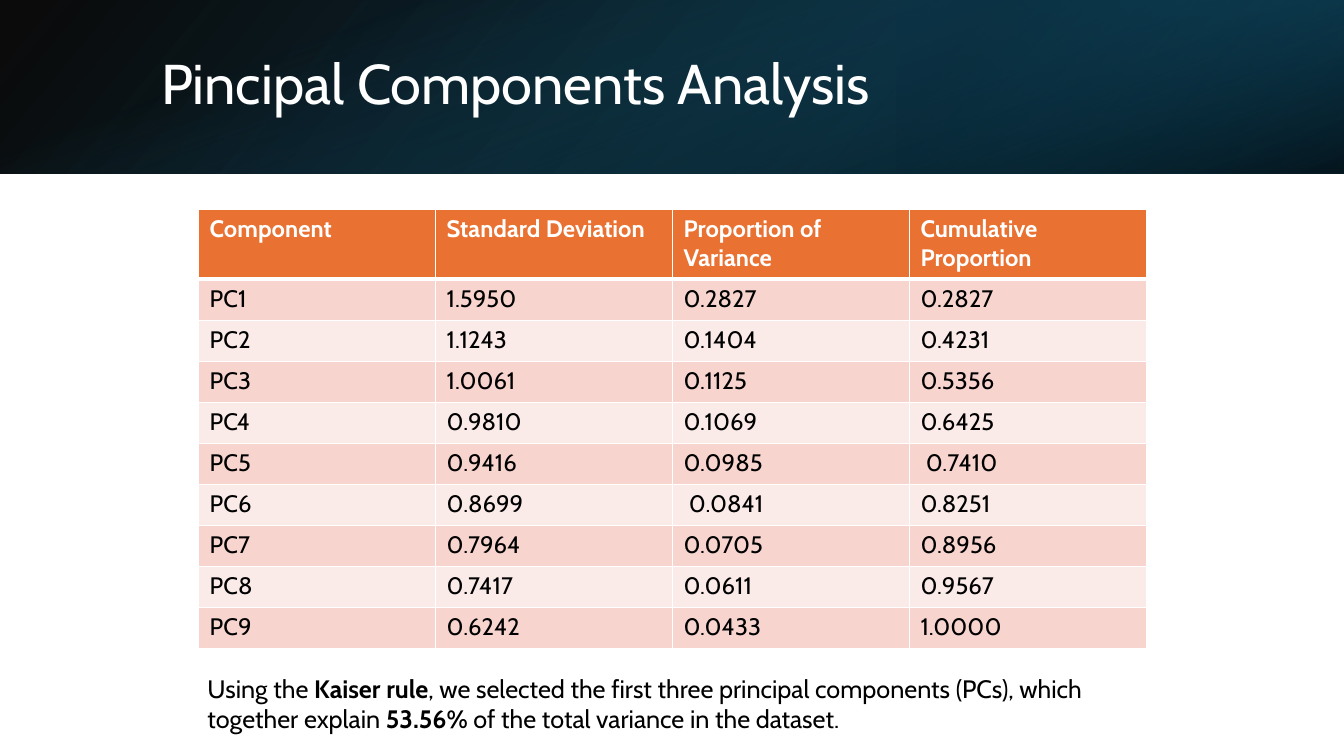
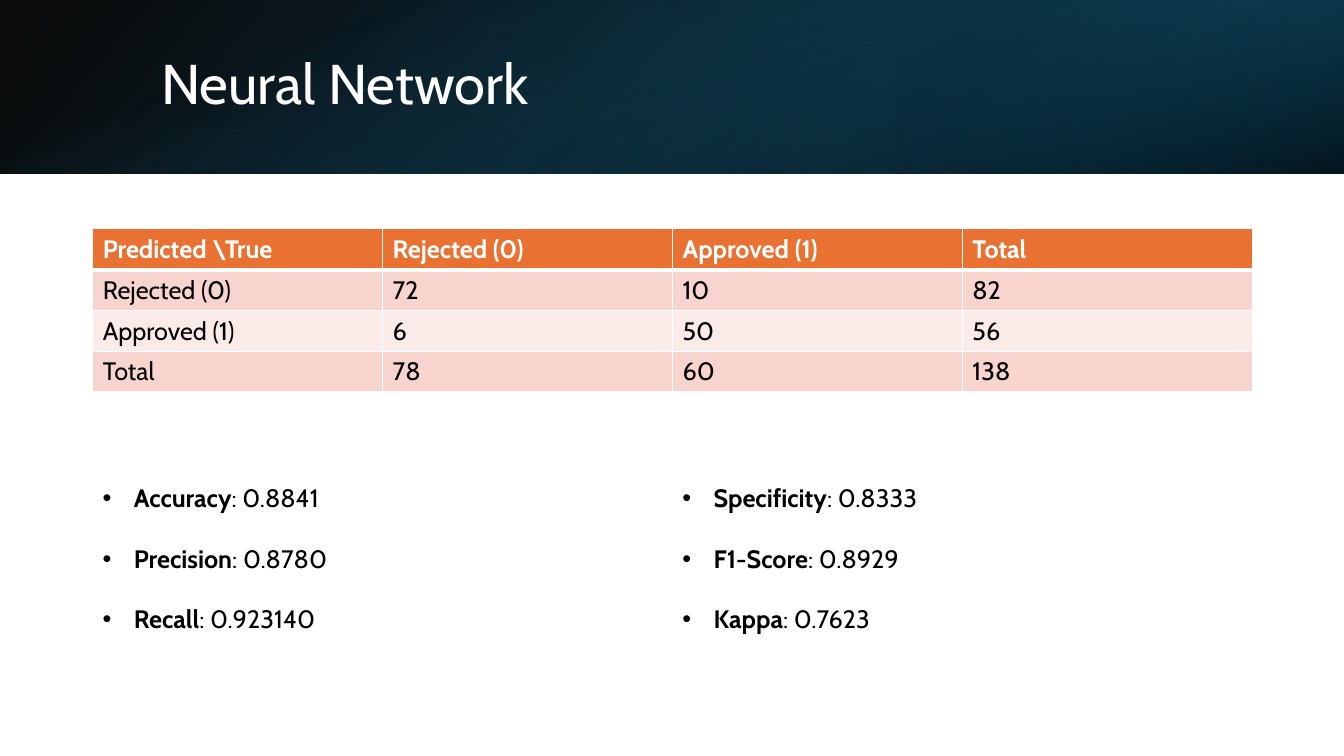
from dataclasses import dataclass
from lxml.etree import SubElement as Sub
from pptx import Presentation
from pptx.dml.color import RGBColor as Rgb
from pptx.enum.shapes import MSO_SHAPE as Kind
from pptx.enum.text import MSO_ANCHOR as Anchor, MSO_AUTO_SIZE as Fit
from pptx.oxml.ns import qn
from pptx.slide import Slide
from pptx.util import Inches, Pt


@dataclass(frozen=True)
class Theme:
    font: str = "Cabin"
    white: str = "FFFFFF"
    black: str = "000000"
    head: str = "E97132"
    odd: str = "F7D5CE"
    even: str = "FBEBE8"
    blue: str = "156082"
    deep: str = "104862"
    navy: str = "0B3041"
    title: int = 40
    body: int = 18
    dense: int = 17
    thin: int = 1
    thick: int = 3


T = Theme()


@dataclass(frozen=True)
class Box:
    left: float
    top: float
    width: float
    height: float

    def place(self) -> tuple:
        return tuple(map(Inches, (self.left, self.top, self.width, self.height)))


@dataclass(frozen=True)
class Stop:
    pos: int
    color: str
    alpha: int = 100


@dataclass(frozen=True)
class Band:
    box: Box
    stops: tuple[Stop, Stop]
    angle: int
    turn: int = 0
    flip: bool = False


@dataclass(frozen=True)
class Grid:
    box: Box
    rows: list[list[str]]
    top: float
    size: int
    inset: float


@dataclass(frozen=True)
class Part:
    text: str
    bold: bool = False


WIDE, TALL = 13.33, 1.72
BANDS = [
    Band(Box(0, 0, WIDE, TALL), (Stop(0, T.black, 96), Stop(100, T.deep)), 140, flip=True),
    Band(Box(8.89, 0, 4.44, TALL), (Stop(19, T.navy, 68), Stop(100, T.blue, 79)), 320, 180, True),
    Band(Box((WIDE - TALL) / 2, (TALL - WIDE) / 2, TALL, WIDE),
         (Stop(23, T.blue, 0), Stop(99, T.black, 74)), 340, 90),
]


def draw_band(slide: Slide, band: Band) -> None:
    shape = slide.shapes.add_shape(Kind.RECTANGLE, *band.box.place())
    shape.shadow.inherit = False
    shape.line.fill.background()
    shape.rotation = band.turn
    props = shape._element.spPr
    if band.flip:
        props.find(qn("a:xfrm")).set("flipH", "1")
    fill = shape.fill
    fill.gradient()
    fill.gradient_angle = 360 - band.angle
    for slot, stop in zip(fill.gradient_stops, band.stops):
        slot.position = stop.pos / 100
        slot.color.rgb = Rgb.from_string(stop.color)
    for node, stop in zip(props.iter(qn("a:srgbClr")), band.stops):
        if stop.alpha < 100:
            Sub(node, qn("a:alpha"), val=str(stop.alpha * 1000))


def add_parts(para, parts: list[Part], size: int, color: str) -> None:
    for part in parts:
        run = para.add_run()
        run.text = part.text
        font = run.font
        font.name, font.size, font.bold = T.font, Pt(size), part.bold
        font.color.rgb = Rgb.from_string(color)


def add_frame(slide: Slide, box: Box, fit: Fit = Fit.NONE):
    frame = slide.shapes.add_textbox(*box.place()).text_frame
    frame.word_wrap = True
    frame.auto_size = fit
    return frame


def start(deck, title: str) -> Slide:
    slide = deck.slides.add_slide(deck.slide_layouts[6])
    for band in BANDS:
        draw_band(slide, band)
    frame = add_frame(slide, Box(1.5, 0.38, 10.98, 0.96))
    frame.vertical_anchor = Anchor.MIDDLE
    para = frame.paragraphs[0]
    para.line_spacing = 0.9
    add_parts(para, [Part(title)], T.title, T.white)
    return slide


def add_edge(cell, tag: str, width: int) -> None:
    line = Sub(cell._tc.get_or_add_tcPr(), qn(f"a:{tag}"), w=str(Pt(width)))
    fill = Sub(line, qn("a:solidFill"))
    Sub(fill, qn("a:srgbClr"), val=T.white)


def draw_grid(slide: Slide, grid: Grid) -> None:
    count = len(grid.rows[0])
    table = slide.shapes.add_table(len(grid.rows), count, *grid.box.place()).table
    for col in table.columns:
        col.width = Inches(grid.box.width / count)
    rest = (grid.box.height - grid.top) / (len(grid.rows) - 1)
    for r, row in enumerate(grid.rows):
        head = r == 0
        table.rows[r].height = Inches(grid.top if head else rest)
        fill = T.head if head else T.odd if r % 2 else T.even
        for c, text in enumerate(row):
            cell = table.cell(r, c)
            cell.margin_left = cell.margin_right = Inches(grid.inset)
            cell.margin_top = cell.margin_bottom = Inches(0.05)
            add_edge(cell, "lnL", T.thin)
            add_edge(cell, "lnR", T.thin)
            add_edge(cell, "lnT", T.thick if r == 1 else T.thin)
            add_edge(cell, "lnB", T.thick if head else T.thin)
            cell.fill.solid()
            cell.fill.fore_color.rgb = Rgb.from_string(fill)
            add_parts(cell.text_frame.paragraphs[0], [Part(text, head)],
                      grid.size, T.white if head else T.black)


def draw_list(slide: Slide, box: Box, items: list[tuple[str, str]]) -> None:
    frame = add_frame(slide, box, Fit.SHAPE_TO_FIT_TEXT)
    for i, (name, value) in enumerate(items):
        para = frame.add_paragraph() if i else frame.paragraphs[0]
        para.line_spacing = 2.0
        props = para._p.get_or_add_pPr()
        props.set("marL", str(Inches(0.31)))
        props.set("indent", str(-Inches(0.31)))
        Sub(props, qn("a:buFont"), typeface="Arial")
        Sub(props, qn("a:buChar"), char="•")
        add_parts(para, [Part(name, True), Part(f": {value}")], T.body, T.black)


def draw_pca(deck) -> None:
    slide = start(deck, "Pincipal Components Analysis")
    rows = [
        ["Component", "Standard Deviation", "Proportion of Variance", "Cumulative Proportion"],
        ["PC1", "1.5950", "0.2827", "0.2827"],
        ["PC2", "1.1243", "0.1404", "0.4231"],
        ["PC3", "1.0061", "0.1125", "0.5356"],
        ["PC4", "0.9810", "0.1069", "0.6425"],
        ["PC5", "0.9416", "0.0985", " 0.7410"],
        ["PC6", "0.8699", " 0.0841", "0.8251"],
        ["PC7", "0.7964", "0.0705", "0.8956"],
        ["PC8", "0.7417", "0.0611", "0.9567"],
        ["PC9", "0.6242", "0.0433", "1.0000"],
    ]
    draw_grid(slide, Grid(Box(1.97, 2.08, 9.4, 4.36), rows, 0.69, T.dense, 0.11))
    frame = add_frame(slide, Box(1.96, 6.63, 9.76, 0.71), Fit.SHAPE_TO_FIT_TEXT)
    add_parts(frame.paragraphs[0], [
        Part("Using the "),
        Part("Kaiser rule", True),
        Part(", we selected the first three principal components (PCs), which together explain "),
        Part("53.56%", True),
        Part(" of the total variance in the dataset."),
    ], T.body, T.black)


def draw_net(deck) -> None:
    slide = start(deck, "Neural Network")
    rows = [
        ["Predicted \\True", "Rejected (0)", "Approved (1)", "Total"],
        ["Rejected (0)", "72", "10", "82"],
        ["Approved (1)", "6", "50", "56"],
        ["Total", "78", "60", "138"],
    ]
    draw_grid(slide, Grid(Box(0.92, 2.27, 11.5, 1.62), rows, 0.41, T.body, 0.1))
    lists = {
        0.92: [("Accuracy", "0.8841"), ("Precision", "0.8780"), ("Recall", "0.923140")],
        6.67: [("Specificity", "0.8333"), ("F1-Score", "0.8929"), ("Kappa", "0.7623")],
    }
    for left, items in lists.items():
        draw_list(slide, Box(left, 4.44, 6.66, 1.84), items)


def main() -> None:
    deck = Presentation()
    deck.slide_width, deck.slide_height = Inches(WIDE), Inches(7.5)
    draw_pca(deck)
    draw_net(deck)
    deck.save("out.pptx")


if __name__ == "__main__":
    main()
